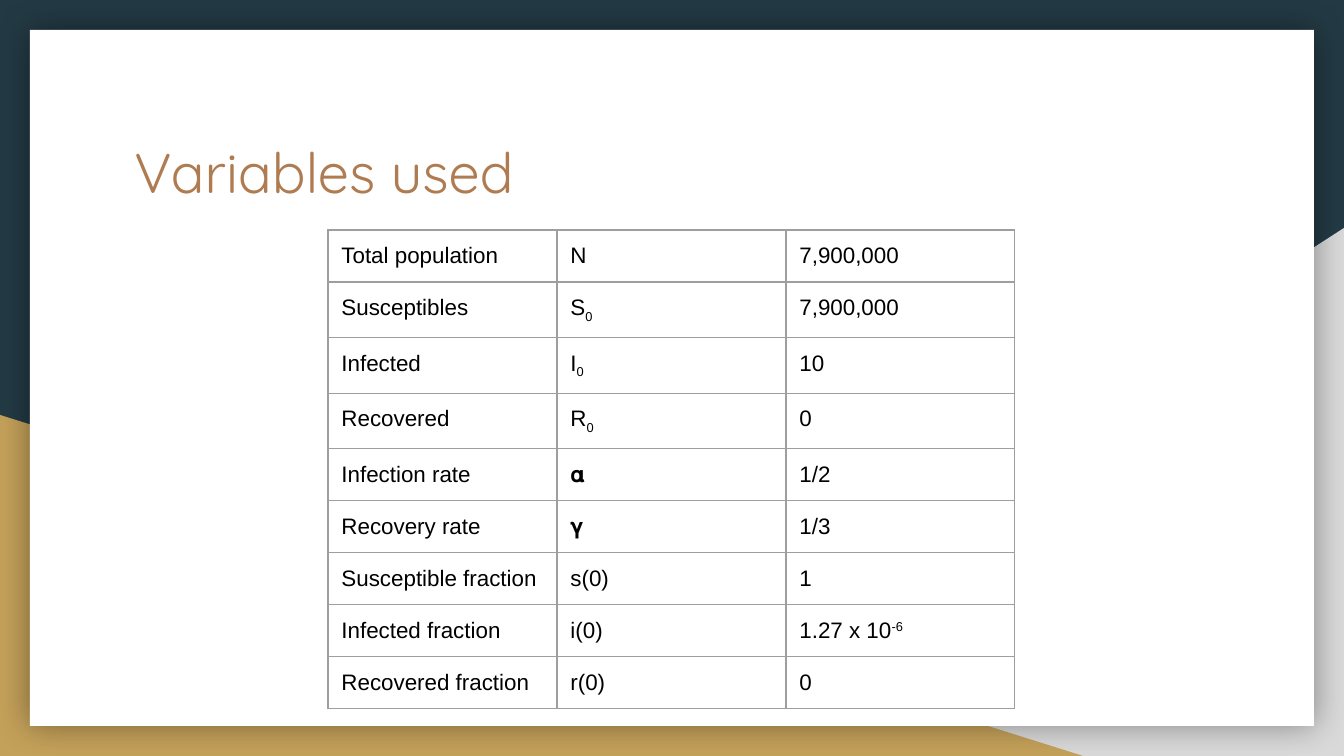
from lxml import etree
from pptx import Presentation
from pptx.dml.color import RGBColor
from pptx.enum.shapes import MSO_SHAPE
from pptx.enum.text import MSO_ANCHOR, PP_ALIGN
from pptx.oxml import parse_xml
from pptx.oxml.ns import nsdecls, qn
from pptx.util import Emu, Inches, Pt

WIDTH, HEIGHT = 1344, 756
EMU_PER_PX = Inches(10) / WIDTH
INSET = Inches(0.1)

NAVY = RGBColor(0x23, 0x3A, 0x44)
GREY = RGBColor(0xD9, 0xD9, 0xD9)
GOLD = RGBColor(0xC4, 0xA1, 0x5A)
WHITE = RGBColor(0xFF, 0xFF, 0xFF)
BROWN = RGBColor(0xAF, 0x7B, 0x51)
BLACK = RGBColor(0x00, 0x00, 0x00)
BORDER = RGBColor(0x9E, 0x9E, 0x9E)

# "_" starts a subscript and "^" a superscript
BASELINES = {"_": -25000, "^": 30000}
VARIABLES = [
    ("Total population", "N", "7,900,000"),
    ("Susceptibles", "S_0", "7,900,000"),
    ("Infected", "I_0", "10"),
    ("Recovered", "R_0", "0"),
    ("Infection rate", "𝛂", "1/2"),
    ("Recovery rate", "𝛄", "1/3"),
    ("Susceptible fraction", "s(0)", "1"),
    ("Infected fraction", "i(0)", "1.27 x 10^-6"),
    ("Recovered fraction", "r(0)", "0"),
]


def px(value):
    return Emu(round(value * EMU_PER_PX))


def set_insets(frame):
    frame.margin_left = frame.margin_right = INSET
    frame.margin_top = frame.margin_bottom = INSET


class SlideBuilder:
    def __init__(self, slide):
        self.slide = slide
        self.title_font = "Quicksand"
        self.body_font = "Arial"

    def background(self, color):
        fill = self.slide.background.fill
        fill.solid()
        fill.fore_color.rgb = color

    def shape(self, kind, left, top, width, height, color):
        shape = self.slide.shapes.add_shape(
            kind, px(left), px(top), px(width), px(height))
        shape.shadow.inherit = False
        shape.fill.solid()
        shape.fill.fore_color.rgb = color
        shape.line.fill.background()
        return shape

    def glow_shadow(self, shape):
        """Give the shape a soft, centred black shadow."""
        effects = shape._element.spPr.find(qn("a:effectLst"))
        effects.append(parse_xml(
            f'<a:outerShdw {nsdecls("a")} blurRad="{Pt(18)}" dist="0" dir="0" '
            'algn="ctr" rotWithShape="0"><a:srgbClr val="000000">'
            '<a:alpha val="40000"/></a:srgbClr></a:outerShdw>'))

    def title(self, text, left, top, width, height):
        title = self.slide.shapes.title
        self.slide.shapes._spTree.append(title._element)  # bring to front
        title.left, title.top = px(left), px(top)
        title.width, title.height = px(width), px(height)
        frame = title.text_frame
        frame.text = text
        frame.word_wrap = True
        frame.vertical_anchor = MSO_ANCHOR.TOP
        set_insets(frame)
        paragraph = frame.paragraphs[0]
        paragraph.alignment = PP_ALIGN.LEFT
        paragraph.line_spacing = 1.0
        self.format_run(paragraph.runs[0], self.title_font, 30, BROWN)

    def format_run(self, run, name, size, color):
        run.font.name = name
        run.font.size = Pt(size)
        run.font.color.rgb = color

    def table(self, rows, left, top, column_width, row_height):
        columns = len(rows[0])
        frame = self.slide.shapes.add_table(
            len(rows), columns, px(left), px(top),
            px(column_width * columns), px(row_height * len(rows)))
        table = frame.table
        table.first_row = table.horz_banding = False
        for column in table.columns:
            column.width = px(column_width)
        for row, values in zip(table.rows, rows):
            row.height = px(row_height)
            for cell, value in zip(row.cells, values):
                self.cell(cell, value)

    def cell(self, cell, value):
        set_insets(cell)
        self.cell_borders(cell)
        cell.fill.background()
        mark = next((mark for mark in BASELINES if mark in value), None)
        base, script = value.split(mark) if mark else (value, "")
        paragraph = cell.text_frame.paragraphs[0]
        paragraph.text = base
        if script:
            run = paragraph.add_run()
            run.text = script
            run.font._element.set("baseline", str(BASELINES[mark]))
        for run in paragraph.runs:
            self.format_run(run, self.body_font, 12, BLACK)

    def cell_borders(self, cell):
        properties = cell._tc.get_or_add_tcPr()
        for side in ("lnL", "lnR", "lnT", "lnB"):
            line = etree.SubElement(properties, qn(f"a:{side}"), w=str(Pt(0.75)))
            fill = etree.SubElement(line, qn("a:solidFill"))
            etree.SubElement(fill, qn("a:srgbClr"), val=str(BORDER))


def main():
    presentation = Presentation()
    presentation.slide_width, presentation.slide_height = px(WIDTH), px(HEIGHT)
    slide = presentation.slides.add_slide(presentation.slide_layouts[5])
    builder = SlideBuilder(slide)

    builder.background(NAVY)
    grey_corner = builder.shape(
        MSO_SHAPE.RIGHT_TRIANGLE, 527, 228, 817, 528, GREY)
    grey_corner._element.spPr.find(qn("a:xfrm")).set("flipH", "1")
    builder.shape(MSO_SHAPE.RIGHT_TRIANGLE, 0, 415, 1083, 341, GOLD)
    card = builder.shape(MSO_SHAPE.RECTANGLE, 30, 30, 1284, 696, WHITE)
    builder.glow_shadow(card)

    builder.title("Variables used", 121, 124, 1103, 140)
    builder.table(VARIABLES, 328, 230, column_width=229, row_height=48)

    presentation.save("out.pptx")


if __name__ == "__main__":
    main()
